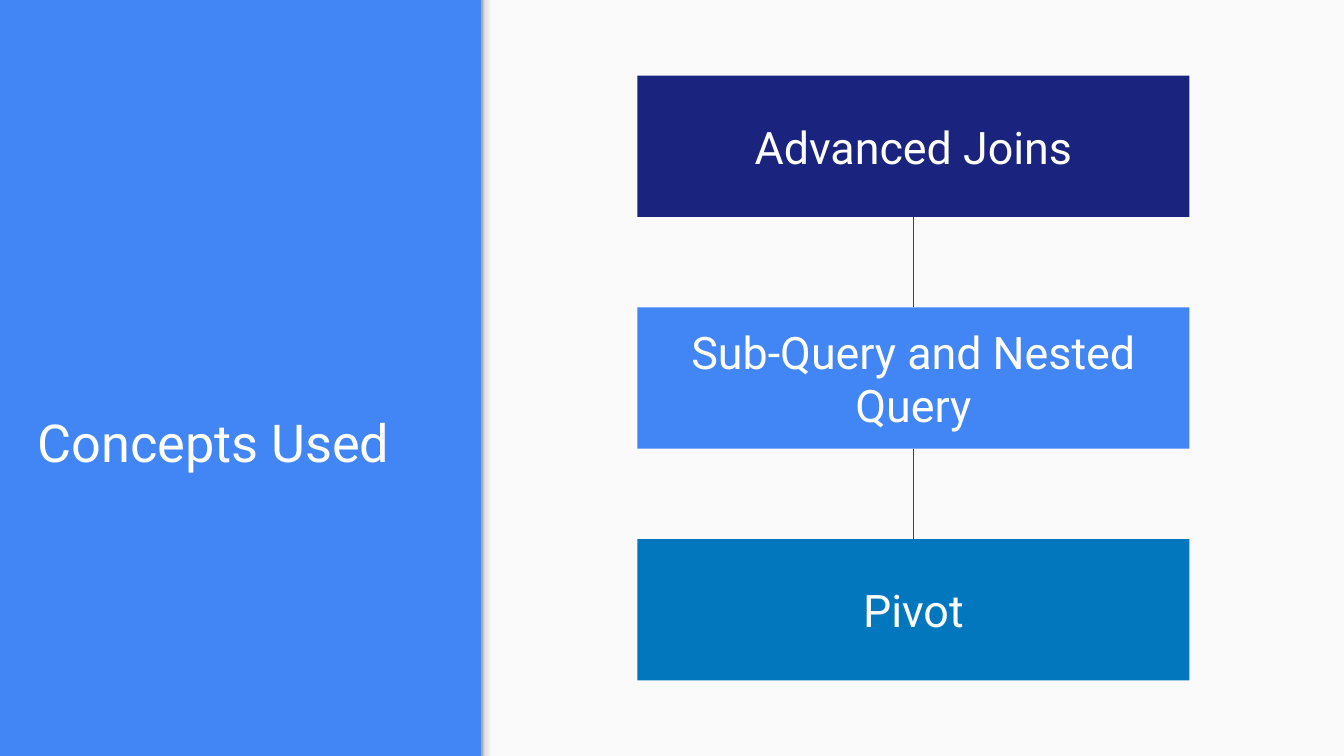
from lxml import etree
from pptx import Presentation
from pptx.dml.color import RGBColor
from pptx.enum.shapes import MSO_CONNECTOR, MSO_SHAPE
from pptx.enum.text import MSO_ANCHOR, MSO_AUTO_SIZE, PP_ALIGN
from pptx.oxml.ns import qn
from pptx.util import Pt

RECT = MSO_SHAPE.RECTANGLE
LINE = MSO_CONNECTOR.STRAIGHT
LEFT, CENTER = PP_ALIGN.LEFT, PP_ALIGN.CENTER
MIDDLE, BOTTOM = MSO_ANCHOR.MIDDLE, MSO_ANCHOR.BOTTOM
FIXED = MSO_AUTO_SIZE.NONE

WIDE, HIGH = 720, 405
EDGE = 258
COLORS = {
    "blue": "4285F4",
    "navy": "1A237E",
    "teal": "0277BD",
    "paper": "FAFAFA",
    "white": "FFFFFF",
    "line": "424242",
}
SHADE = [(0, "999999"), (20, "DEDEDE"), (64, "F9F9F9"), (100, "F9F9F9")]
TOPICS = [
    ("Advanced Joins", "navy"),
    ("Sub-Query and Nested Query", "blue"),
    ("Pivot", "teal"),
]


class Deck:
    font = "Roboto"
    inset = Pt(7.2)

    def __init__(self, slide):
        self.slide = slide

    def color(self, name):
        return RGBColor.from_string(COLORS[name])

    def ground(self, name):
        fill = self.slide.background.fill
        fill.solid()
        fill.fore_color.rgb = self.color(name)

    def label(self, shape, text, size, align, anchor):
        frame = shape.text_frame
        frame.text = text
        frame.word_wrap = True
        frame.auto_size = FIXED
        frame.vertical_anchor = anchor
        frame.margin_left = frame.margin_right = self.inset
        frame.margin_top = frame.margin_bottom = self.inset
        para = frame.paragraphs[0]
        para.alignment = align
        font = para.runs[0].font
        font.name = self.font
        font.size = Pt(size)
        font.color.rgb = self.color("white")

    def title(self, text, left, top, width, height):
        shape = self.slide.shapes.title
        shape.left, shape.top = Pt(left), Pt(top)
        shape.width, shape.height = Pt(width), Pt(height)
        self.label(shape, text, 28, LEFT, BOTTOM)

    def rect(self, left, top, width, height):
        shape = self.slide.shapes.add_shape(
            RECT, Pt(left), Pt(top), Pt(width), Pt(height))
        shape.shadow.inherit = False
        shape.line.fill.background()
        return shape

    def panel(self, name, *area):
        shape = self.rect(*area)
        shape.fill.solid()
        shape.fill.fore_color.rgb = self.color(name)
        return shape

    def shade(self, stops, *area):
        shape = self.rect(*area)
        shape.fill.gradient()
        shape.fill.gradient_angle = 0
        group = next(shape._element.iter(qn("a:gsLst")))
        for old in list(group):
            group.remove(old)
        for place, tone in stops:
            stop = etree.SubElement(group, qn("a:gs"), pos=str(place * 1000))
            etree.SubElement(stop, qn("a:srgbClr"), val=tone)

    def box(self, text, name, *area):
        shape = self.panel(name, *area)
        self.label(shape, text, 24, CENTER, MIDDLE)
        return shape

    def link(self, upper, lower):
        line = self.slide.shapes.add_connector(LINE, 0, 0, 0, 0)
        line.begin_connect(upper, 2)
        line.end_connect(lower, 0)
        line.line.width = Pt(0.75)
        line.line.color.rgb = self.color("line")
        etree.SubElement(line._element.spPr, qn("a:effectLst"))


def main():
    prs = Presentation()
    prs.slide_width, prs.slide_height = Pt(WIDE), Pt(HIGH)
    deck = Deck(prs.slides.add_slide(prs.slide_layouts[5]))
    deck.ground("blue")
    deck.panel("paper", EDGE, 0, WIDE - EDGE, HIGH)
    deck.shade(SHADE, EDGE, 0, 8.5, HIGH)
    deck.title("Concepts Used", 13, 179.3, 221, 81.4)

    left, top, width, height, step = 341.5, 40.5, 295.7, 75.7, 124.15
    boxes = [
        deck.box(text, name, left, top + i * step, width, height)
        for i, (text, name) in enumerate(TOPICS)
    ]
    for upper, lower in zip(boxes, boxes[1:]):
        deck.link(upper, lower)
    prs.save("out.pptx")


if __name__ == "__main__":
    main()
